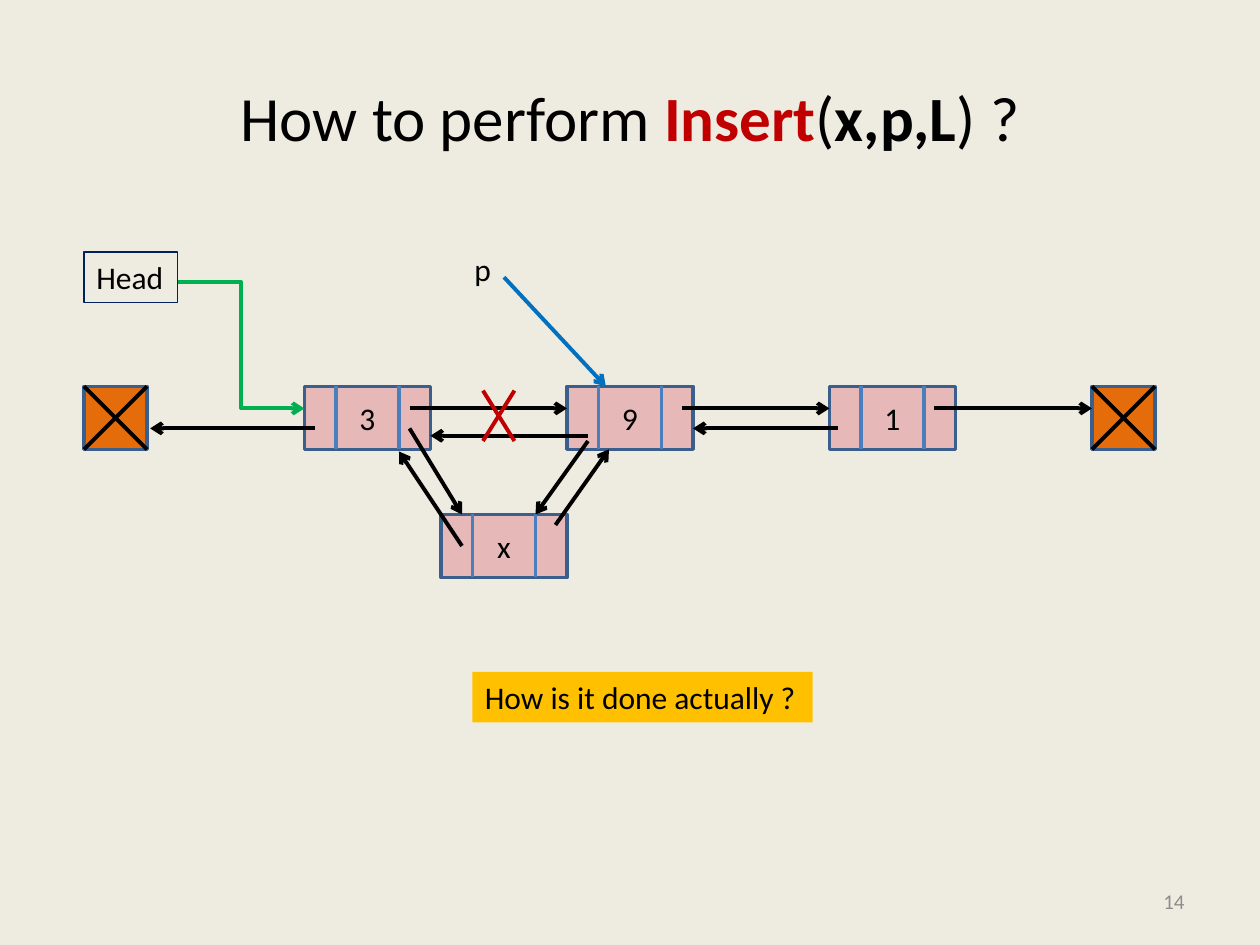
from lxml import etree
from pptx import Presentation, util as u
from pptx.dml.color import RGBColor
from pptx.enum import shapes, text
from pptx.oxml import ns

COLUMNS, ROWS = 120, 90
CELL = u.Inches(10) // COLUMNS
LIST_TOP, NEW_TOP, NODE_WIDTH, NODE_HEIGHT = 36.8, 49, 12, 6
BLACK, RED, EDGE = "000000", "C00000", "3A5F8C"


def rgb(value):
    """Turn a hex string into a colour."""
    return RGBColor.from_string(value)


def grid(*cells):
    """Turn grid cells into slide lengths."""
    return [round(cell * CELL) for cell in cells]


def write(paragraph, words, size=18, color=BLACK, bold=False):
    """Append a formatted run to a paragraph."""
    run = paragraph.add_run()
    run.text = words
    run.font.color.rgb = rgb(color)
    for name, value in {"name": "Calibri", "size": u.Pt(size), "bold": bold}.items():
        setattr(run.font, name, value)


def add_box(slide, cells, fill, words=""):
    """Draw a filled list cell with centred text."""
    box = slide.shapes.add_shape(shapes.MSO_SHAPE.RECTANGLE, *grid(*cells))
    box.shadow.inherit = False
    box.fill.solid()
    box.fill.fore_color.rgb = rgb(fill)
    box.line.color.rgb = rgb(EDGE)
    box.line.width = u.Pt(2)
    if words:
        box.text_frame.vertical_anchor = text.MSO_ANCHOR.MIDDLE
        paragraph = box.text_frame.paragraphs[0]
        paragraph.alignment = text.PP_ALIGN.CENTER
        write(paragraph, words)


def add_line(slide, ends, color=BLACK, arrow=False, kind=shapes.MSO_CONNECTOR.STRAIGHT):
    """Draw a line, with an arrowhead at its end if wanted."""
    link = slide.shapes.add_connector(kind, *grid(*ends))
    link.line.color.rgb = rgb(color)
    link.line.width = u.Pt(2.25)
    if arrow:
        etree.SubElement(link.line._get_or_add_ln(), ns.qn("a:tailEnd"), type="arrow")
    etree.SubElement(link._element.spPr, ns.qn("a:effectLst"))


def add_cross(slide, left, top, width, height, color=BLACK):
    """Draw the two diagonals of an area."""
    right, bottom = left + width, top + height
    add_line(slide, (left, top, right, bottom), color)
    add_line(slide, (right, top, left, bottom), color)


def add_node(slide, left, top, value):
    """Draw a list node with a pointer field on either side."""
    add_box(slide, (left, top, NODE_WIDTH, NODE_HEIGHT), "E6B9B8", value)
    for share in (0.25, 0.75):
        field = left + share * NODE_WIDTH
        add_line(slide, (field, top, field, top + NODE_HEIGHT), "4B7EBC")


def add_end(slide, left):
    """Draw a crossed cell that ends the list."""
    area = (left, LIST_TOP, NODE_HEIGHT, NODE_HEIGHT)
    add_box(slide, area, "E46C0A")
    add_cross(slide, *area)


def add_label(slide, cells, words, fill=None, edge=None, **font):
    """Add a text box and return it."""
    label = slide.shapes.add_textbox(*grid(*cells))
    if fill:
        label.fill.solid()
        label.fill.fore_color.rgb = rgb(fill)
    if edge:
        label.line.color.rgb = rgb(edge)
        label.line.width = u.Pt(0.75)
    write(label.text_frame.paragraphs[0], words, **font)
    return label


def add_title(slide):
    """Fill the title placeholder."""
    title = slide.shapes.title
    place = zip(("left", "top", "width", "height"), grid(6, 3.6, 108, 15))
    for name, value in place:
        setattr(title, name, value)
    title.text_frame.vertical_anchor = text.MSO_ANCHOR.MIDDLE
    paragraph = title.text_frame.paragraphs[0]
    paragraph.alignment = text.PP_ALIGN.CENTER
    for words, color, bold in (("How to perform ", BLACK, False), ("Insert", RED, True),
                               ("(", BLACK, False), ("x,p,L", BLACK, True),
                               (") ?", BLACK, False)):
        write(paragraph, words, 36, color, bold)


def add_list(slide):
    """Draw the doubly linked list and the new node."""
    for left, value in ((29, "3"), (54, "9"), (79, "1")):
        add_node(slide, left, LIST_TOP, value)
    add_node(slide, 42, NEW_TOP, "x")
    for left in (8, 104):
        add_end(slide, left)
    for start, end, row in ((39, 54, 38.9), (65, 79, 38.9), (89, 104, 38.9),
                            (56, 41, 41.5), (79.8, 66, 40.8), (30, 14.3, 40.8)):
        add_line(slide, (start, row, end, row), arrow=True)
    for ends in ((39, 40.8, 44, NEW_TOP), (56, 42, 51, NEW_TOP),
                 (44, 52, 38, 43), (52.9, 50, 58, 42.8)):
        add_line(slide, ends, arrow=True)
    add_cross(slide, 46, 37.2, 3, 4.8, RED)


def main():
    """Build and save the slide."""
    deck = Presentation()
    deck.slide_width, deck.slide_height = grid(COLUMNS, ROWS)
    slide = deck.slides.add_slide(deck.slide_layouts[5])
    slide.background.fill.solid()
    slide.background.fill.fore_color.rgb = rgb("EEECE1")
    add_title(slide)
    add_list(slide)
    add_label(slide, (8, 24, 8.9, 4.8), "Head", edge="002060")
    add_line(slide, (17, 26.9, 29, 38.9), "00B050", True, shapes.MSO_CONNECTOR.ELBOW)
    add_label(slide, (44, 23.2, 4.1, 4.8), "p")
    add_line(slide, (48, 26.4, 57.7, LIST_TOP), "0070C0", True)
    add_label(slide, (45, 64, 32.4, 4.8), "How is it done actually ?", fill="FFC000")
    number = add_label(slide, (86, 83.4, 28, 4.8), "14", size=12, color="8C8C8C")
    number.text_frame.word_wrap = True
    number.text_frame.vertical_anchor = text.MSO_ANCHOR.MIDDLE
    number.text_frame.paragraphs[0].alignment = text.PP_ALIGN.RIGHT
    deck.save("out.pptx")


if __name__ == "__main__":
    main()
